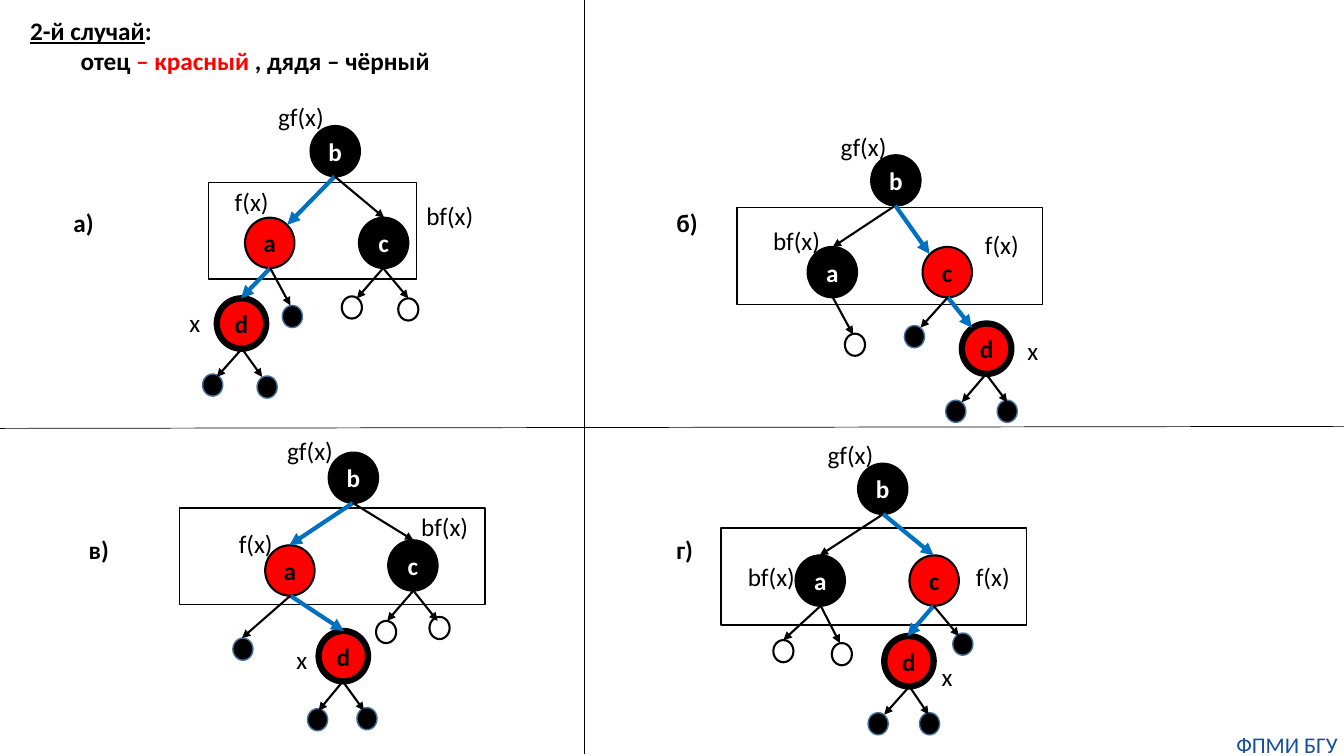
from pptx import Presentation
from pptx import util as u
from pptx.dml.color import RGBColor
from pptx.enum import shapes, text
from pptx.oxml.ns import qn
from lxml import etree

COLS, ROWS = 1333, 750
CELL = u.Inches(0.01)
NODE, LEAF = (49, 50), (20, 22)
LABEL_H = 40
BLACK, WHITE, RED, BLUE = "000000", "FFFFFF", "FF0000", "0070C0"
RIM, FOOTER = "43739E", "144E9D"

# kind: size, fill, line colour, line width, letter colour, incoming edge colour and width
KINDS = {
    "black": (NODE, BLACK, BLACK, 1.5, WHITE, BLACK, 1.5),
    "red": (NODE, RED, BLACK, 1.5, BLACK, BLUE, 3),
    "current": (NODE, RED, BLACK, 4.5, BLACK, BLUE, 3),
    "nil": (LEAF, BLACK, RIM, 1, None, BLACK, 1.5),
    "empty": (LEAF, WHITE, BLACK, 1.5, None, BLACK, 1.5),
}

# node: letter, parent, kind, (left, top), arrow tip
TREES = [
    {"tag": ("a)", 63, 201, 41), "box": (207, 181, 206, 96),
     "labels": [("gf(x)", 266, 96, 66), ("f(x)", 223, 180, 54),
                ("bf(x)", 413, 194, 67), ("x", 178, 300, 31)],
     "nodes": [("b", None, "black", (308, 125), None),
               ("a", "b", "red", (243, 216), (285, 223)),
               ("c", "b", "black", (356, 216), (381, 216)),
               ("d", "a", "current", (215, 296), (239, 296)),
               ("", "a", "nil", (280, 303), (288, 303)),
               ("", "c", "empty", (339, 294), (354, 296)),
               ("", "c", "empty", (395, 296), (405, 296)),
               ("", "d", "nil", (201, 371), (215, 374)),
               ("", "d", "nil", (255, 373), (260, 374))]},
    {"tag": ("б)", 661, 201, 42), "box": (731, 206, 303, 96),
     "labels": [("gf(x)", 824, 125, 66), ("bf(x)", 757, 219, 67),
                ("f(x)", 967, 223, 54), ("x", 1009, 328, 31)],
     "nodes": [("b", None, "black", (864, 154), None),
               ("а", "b", "black", (801, 245), (826, 245)),
               ("c", "b", "red", (915, 245), (922, 252)),
               ("d", "c", "current", (954, 321), (964, 325)),
               ("", "а", "empty", (838, 331), (846, 332)),
               ("", "c", "nil", (897, 323), (913, 325)),
               ("", "d", "nil", (938, 397), (954, 399)),
               ("", "d", "nil", (989, 397), (999, 399))]},
    {"tag": ("в)", 78, 525, 41), "box": (178, 504, 303, 96),
     "labels": [("gf(x)", 275, 427, 66), ("f(x)", 227, 519, 54),
                ("bf(x)", 408, 502, 67), ("x", 284, 634, 31)],
     "nodes": [("b", None, "black", (326, 449), None),
               ("a", "b", "red", (263, 541), (287, 541)),
               ("c", "b", "black", (385, 536), (410, 536)),
               ("d", "a", "current", (316, 626), (341, 626)),
               ("", "a", "nil", (231, 633), (240, 633)),
               ("", "c", "empty", (373, 616), (384, 616)),
               ("", "c", "empty", (426, 612), (434, 616)),
               ("", "d", "nil", (305, 703), (316, 705)),
               ("", "d", "nil", (354, 702), (361, 705))]},
    {"tag": ("г)", 661, 525, 37), "box": (715, 524, 303, 96),
     "labels": [("gf(x)", 811, 431, 66), ("bf(x)", 732, 552, 67),
                ("f(x)", 958, 552, 54), ("x", 924, 651, 31)],
     "nodes": [("b", None, "black", (851, 460), None),
               ("a", "b", "black", (789, 551), (813, 551)),
               ("c", "b", "red", (902, 551), (926, 551)),
               ("d", "c", "current", (877, 631), (900, 631)),
               ("", "a", "empty", (767, 635), (777, 635)),
               ("", "a", "empty", (825, 638), (833, 638)),
               ("", "c", "nil", (945, 628), (951, 631)),
               ("", "d", "nil", (861, 707), (877, 709)),
               ("", "d", "nil", (912, 707), (921, 709))]},
]

TITLE = [[("2-й случай", BLACK, True), (":", BLACK, False)],
         [("отец", BLACK, False), (" – красный ", RED, False),
          (", дядя – чёрный", BLACK, False)]]
DIVIDERS = [((580, 0), (580, 748)), ((COLS, 423), (0, 425))]

prs = Presentation()
prs.slide_width, prs.slide_height = COLS * CELL, ROWS * CELL
slide = prs.slides.add_slide(prs.slide_layouts[6])


def rgb(value):
    return RGBColor.from_string(value)


def cells(*values):
    return [v * CELL for v in values]


def style(p, size, color, bold=False):
    p.font.name, p.font.size, p.font.bold = "Calibri", u.Pt(size), bold
    p.font.color.rgb = rgb(color)


def add_text(words, left, top, width, height=LABEL_H, size=18, color=BLACK, bold=False):
    tf = slide.shapes.add_textbox(*cells(left, top, width, height)).text_frame
    tf.word_wrap = False
    tf.auto_size = text.MSO_AUTO_SIZE.SHAPE_TO_FIT_TEXT
    tf.text = words
    style(tf.paragraphs[0], size, color, bold)
    return tf


def no_insets(tf):
    tf.margin_left = tf.margin_right = tf.margin_top = tf.margin_bottom = 0


def add_figure(preset, frame, fill, line, width):
    sp = slide.shapes.add_shape(preset, *cells(*frame))
    sp.shadow.inherit = False
    if fill:
        sp.fill.solid()
        sp.fill.fore_color.rgb = rgb(fill)
    else:
        sp.fill.background()
    sp.line.color.rgb, sp.line.width = rgb(line), u.Pt(width)
    return sp


def add_line(start, end, color, width, arrow=False):
    line = slide.shapes.add_connector(shapes.MSO_CONNECTOR.STRAIGHT, *cells(*start, *end))
    line.line.color.rgb, line.line.width = rgb(color), u.Pt(width)
    if arrow:
        etree.SubElement(line.line._get_or_add_ln(), qn("a:tailEnd"), type="triangle")
    etree.SubElement(line._element.spPr, qn("a:effectLst"))


def add_node(letter, kind, corner):
    size, fill, line, width, color = KINDS[kind][:5]
    sp = add_figure(shapes.MSO_SHAPE.OVAL, (*corner, *size), fill, line, width)
    if letter:
        tf = sp.text_frame
        no_insets(tf)
        tf.word_wrap = False
        tf.vertical_anchor = text.MSO_ANCHOR.MIDDLE
        tf.text = letter
        p = tf.paragraphs[0]
        p.alignment = text.PP_ALIGN.CENTER
        style(p, 18, color, True)


def add_tree(tree):
    add_text(*tree["tag"], bold=True)
    add_figure(shapes.MSO_SHAPE.RECTANGLE, tree["box"], None, BLACK, 1)
    bottoms = {}
    for letter, parent, kind, corner, tip in tree["nodes"]:
        add_node(letter, kind, corner)
        bottoms[letter] = (corner[0] + NODE[0] / 2, corner[1] + NODE[1])
    for letter, parent, kind, corner, tip in tree["nodes"]:
        if parent:
            start = [round(v) for v in bottoms[parent]]
            add_line(start, tip, *KINDS[kind][5:], arrow=True)
    for label in tree["labels"]:
        add_text(*label)


def add_title():
    tf = add_text("", 20, 10, 421, 71)
    for level, runs in enumerate(TITLE):
        p = tf.add_paragraph() if level else tf.paragraphs[0]
        p.level = level
        style(p, 18, BLACK, True)
        for words, color, underline in runs:
            r = p.add_run()
            r.text = words
            r.font.underline = underline
            r.font.color.rgb = rgb(color)


footer = add_text("ФПМИ БГУ", 1220, 725, 113, 27, 16, FOOTER)
no_insets(footer)
footer.word_wrap = True
footer.paragraphs[0].alignment = text.PP_ALIGN.CENTER
for tree in TREES:
    add_tree(tree)
add_title()
for start, end in DIVIDERS:
    add_line(start, end, BLACK, 0.5)

prs.save("out.pptx")
